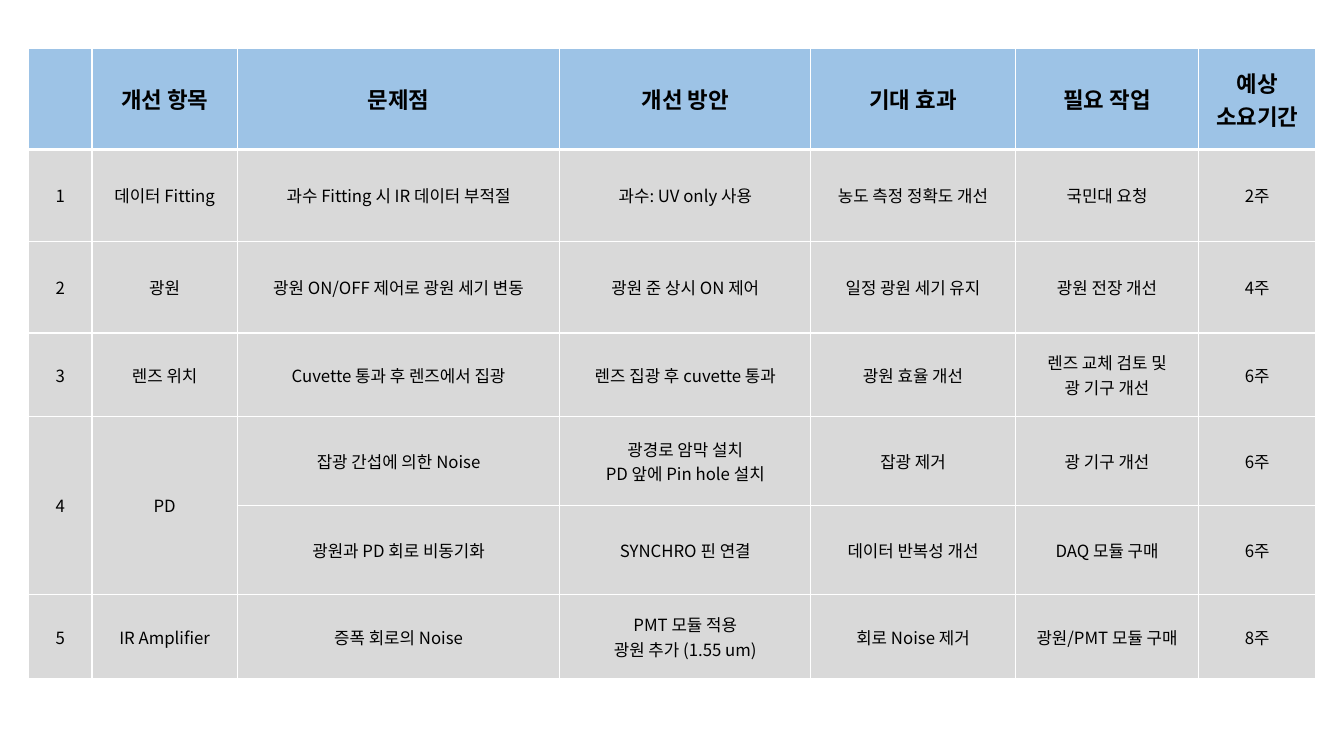
from typing import NamedTuple

from lxml.etree import SubElement
from pptx import Presentation
from pptx.dml.color import RGBColor
from pptx.enum.text import MSO_ANCHOR, PP_ALIGN
from pptx.oxml.ns import qn
from pptx.table import _Cell
from pptx.util import Cm, Pt

FONT = "Noto Sans CJK KR"
WHITE, BLACK, BLUE, GREY = "FFFFFF", "000000", "9DC3E6", "D9D9D9"
COLUMN_WIDTHS = [1.6, 3.66, 8.13, 6.32, 5.16, 4.62, 2.95]
THIN, THICK = 1, 3


class Improvement(NamedTuple):
    height: float
    number: str
    item: str
    problem: str
    solution: str
    effect: str
    work: str
    period: str


class CellStyle(NamedTuple):
    fill: str
    font: dict[str, object]


HEADER = CellStyle(BLUE, {"name": FONT, "size": Pt(16), "bold": True})
BODY = CellStyle(GREY, {"name": FONT, "size": Pt(12), "bold": False})

ROWS = [
    Improvement(2.54, "", "개선 항목", "문제점", "개선 방안", "기대 효과",
                "필요 작업", "예상\n소요기간"),
    Improvement(2.31, "1", "데이터 Fitting", "과수 Fitting 시 IR 데이터 부적절",
                "과수: UV only 사용", "농도 측정 정확도 개선", "국민대 요청", "2주"),
    Improvement(2.31, "2", "광원", "광원 ON/OFF 제어로 광원 세기 변동",
                "광원 준 상시 ON 제어", "일정 광원 세기 유지", "광원 전장 개선", "4주"),
    Improvement(2.11, "3", "렌즈 위치", "Cuvette 통과 후 렌즈에서 집광",
                "렌즈 집광 후 cuvette 통과", "광원 효율 개선",
                "렌즈 교체 검토 및\n광 기구 개선", "6주"),
    Improvement(2.24, "4", "PD", "잡광 간섭에 의한 Noise",
                "광경로 암막 설치\nPD 앞에 Pin hole 설치", "잡광 제거",
                "광 기구 개선", "6주"),
    Improvement(2.24, "", "", "광원과 PD 회로 비동기화", "SYNCHRO 핀 연결",
                "데이터 반복성 개선", "DAQ 모듈 구매", "6주"),
    Improvement(2.13, "5", "IR Amplifier", "증폭 회로의 Noise",
                "PMT 모듈 적용\n광원 추가 (1.55 um)", "회로 Noise 제거",
                "광원/PMT 모듈 구매", "8주"),
]


def rgb(color: str) -> RGBColor:
    return RGBColor.from_string(color)


def set_borders(cell: _Cell, top: int, bottom: int) -> None:
    """Draw white borders; call before the fill, which must follow them in the XML."""
    props = cell._tc.get_or_add_tcPr()
    for side, width in {"L": THIN, "R": THIN, "T": top, "B": bottom}.items():
        line = SubElement(props, qn(f"a:ln{side}"), w=str(Pt(width)))
        SubElement(SubElement(line, qn("a:solidFill")), qn("a:srgbClr"), val=WHITE)


def write_text(cell: _Cell, text: str, style: CellStyle) -> None:
    cell.vertical_anchor = MSO_ANCHOR.MIDDLE
    tf = cell.text_frame
    for i, line in enumerate(text.split("\n")):
        p = tf.add_paragraph() if i else tf.paragraphs[0]
        p.alignment = PP_ALIGN.CENTER
        r = p.add_run()
        r.text = line
        for name, value in style.font.items():
            setattr(r.font, name, value)
        r.font.color.rgb = rgb(BLACK)
        SubElement(r.font._element, qn("a:ea"), typeface=FONT)


def main() -> None:
    prs = Presentation()
    prs.slide_width, prs.slide_height = Cm(33.87), Cm(19.05)
    s = prs.slides.add_slide(prs.slide_layouts[6])
    table = s.shapes.add_table(
        len(ROWS), len(COLUMN_WIDTHS), Cm(0.72), Cm(1.23),
        Cm(sum(COLUMN_WIDTHS)), Cm(sum(row.height for row in ROWS))).table
    table.horz_banding = False
    for column, width in zip(table.columns, COLUMN_WIDTHS):
        column.width = Cm(width)

    for i, (height, *texts) in enumerate(ROWS):
        table.rows[i].height = Cm(height)
        style = BODY if i else HEADER
        for j, text in enumerate(texts):
            cell = table.cell(i, j)
            set_borders(cell, top=THICK if i == 1 else THIN,
                        bottom=THIN if i else THICK)
            cell.fill.solid()
            cell.fill.fore_color.rgb = rgb(style.fill)
            if text:
                write_text(cell, text, style)

    for j in range(2):
        table.cell(4, j).merge(table.cell(5, j))
    prs.save("out.pptx")


if __name__ == "__main__":
    main()
